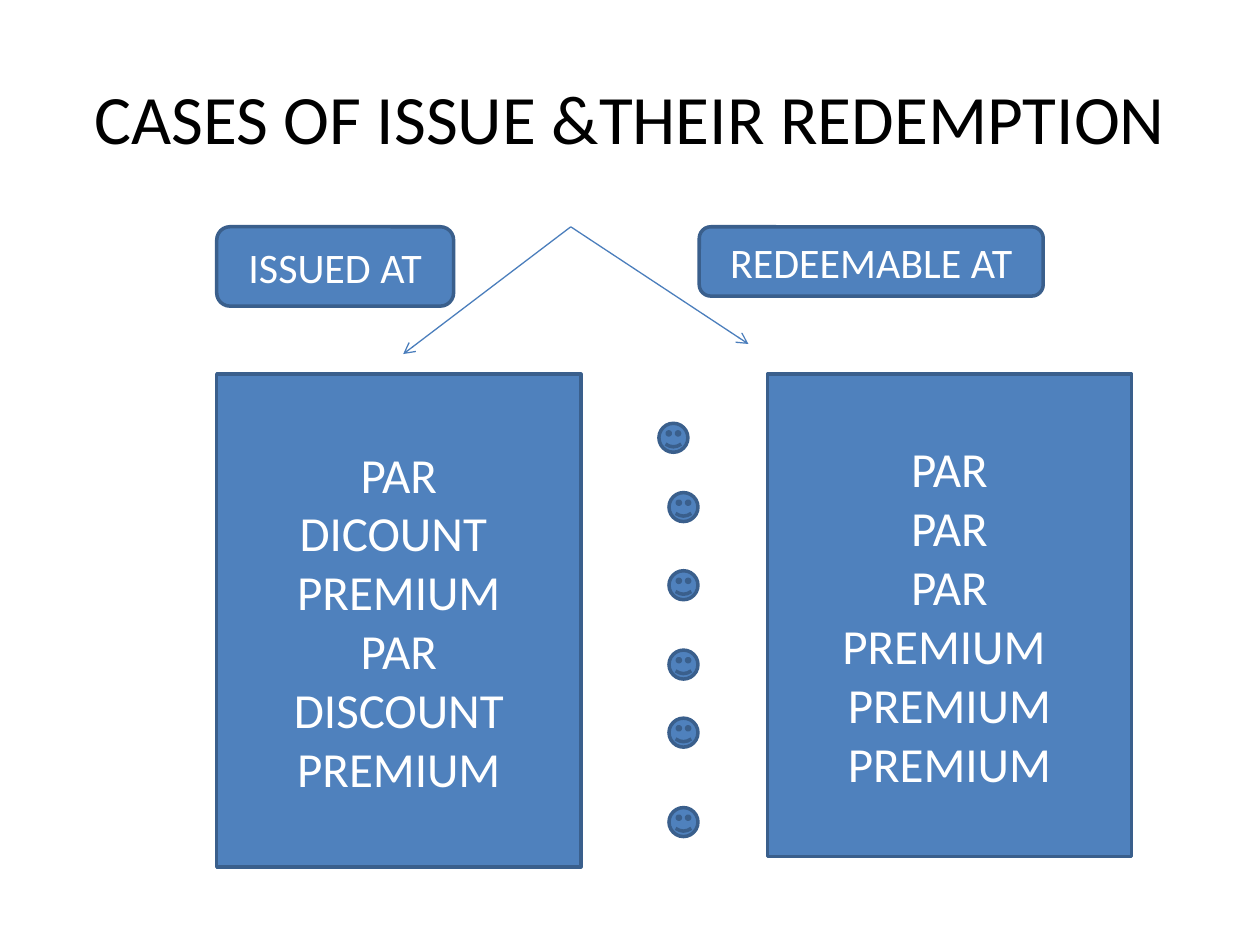
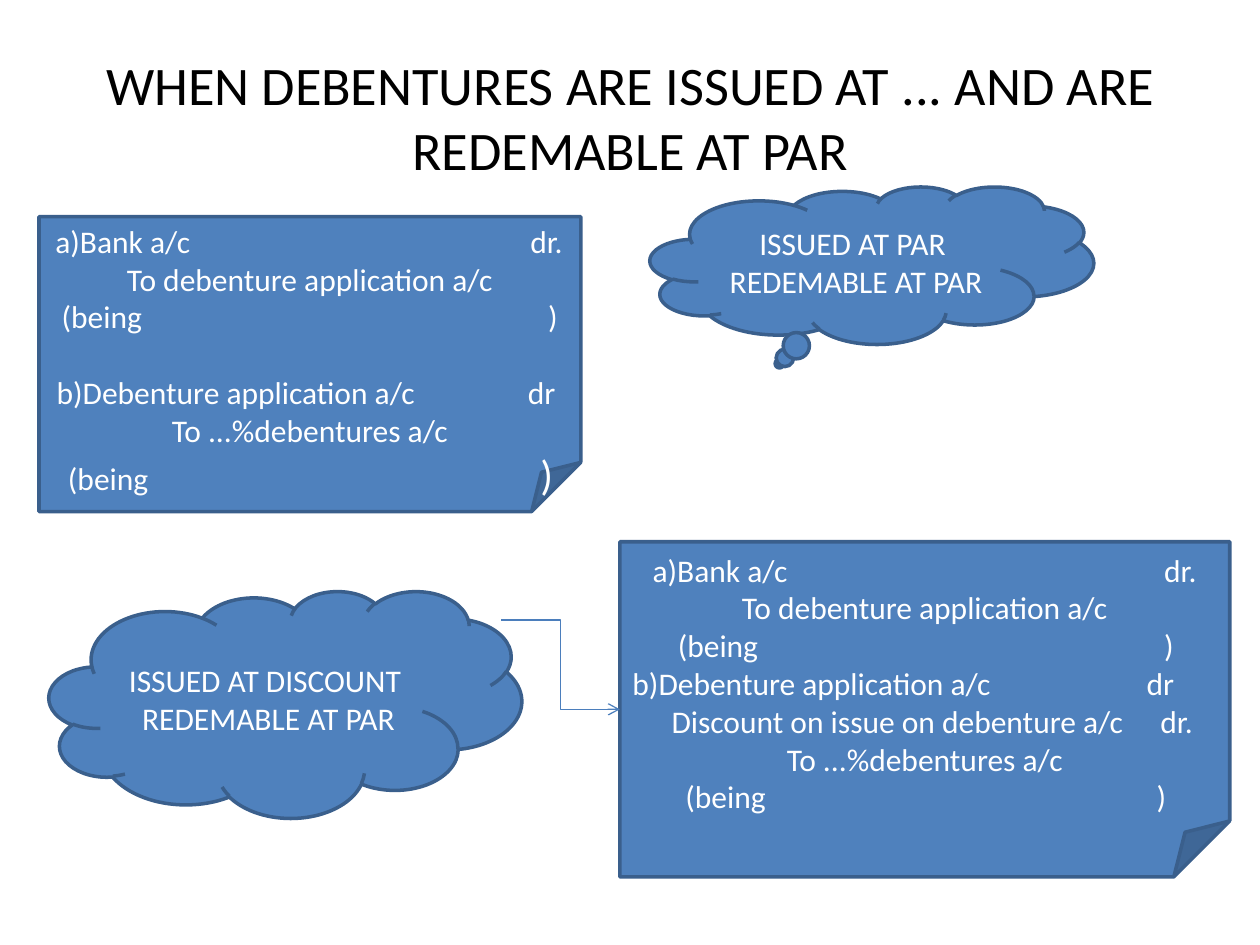
from lxml.etree import SubElement
from pptx import Presentation
from pptx.dml.color import RGBColor
from pptx.enum.shapes import MSO_CONNECTOR as Link, MSO_SHAPE as Shape
from pptx.enum.text import MSO_ANCHOR as Anchor, PP_ALIGN as Align
from pptx.oxml.ns import qn
from pptx.util import Inches, Pt

COLORS = {"fill": "4F81BD", "outline": "3A5F8C", "arrow": "4B7EBC",
          "title": "000000", "text": "FFFFFF"}
FONT = "Calibri"
TITLE_AREA = (0.5, 0.3, 9, 1.25)

CASES_TITLE = "CASES OF ISSUE &THEIR REDEMPTION"
# label, label area, cases, cases area
CASE_COLUMNS = [
    ("ISSUED AT", (1.72, 1.8, 1.88, 0.63),
     ["PAR", "DICOUNT ", "PREMIUM", "PAR", "DISCOUNT", "PREMIUM"],
     (1.72, 2.97, 2.89, 3.91)),
    ("REDEEMABLE AT", (5.55, 1.8, 2.73, 0.55),
     ["PAR", "PAR", "PAR", "PREMIUM ", "PREMIUM", "PREMIUM"],
     (6.09, 2.97, 2.89, 3.83)),
]
FORK = (4.53, 1.8)
FORK_ENDS = [(5.94, 2.73), (3.2, 2.81)]
FACE_SIZE = 0.23
FACES = [(5.23, 3.36)] + [(5.31, top) for top in (3.91, 4.53, 5.16, 5.7, 6.41)]

ENTRIES_TITLE = "WHEN DEBENTURES ARE ISSUED AT ... AND ARE REDEMABLE AT PAR"
CLOUDS = [
    (Shape.CLOUD_CALLOUT, (5.16, 1.48, 3.52, 1.25),
     ["ISSUED AT PAR ", "REDEMABLE AT PAR"]),
    (Shape.CLOUD, (0.39, 4.69, 3.75, 1.8),
     ["ISSUED AT DISCOUNT ", "REDEMABLE AT PAR"]),
]
# A plain string is a centred line; a tuple is (left stop, text, right stop, text).
PAR_NOTE = {
    "area": (0.31, 1.72, 4.3, 2.34), "top": 0.04, "gap_before": 3, "big_end": 5,
    "lines": [
        (0.13, "a)Bank a/c", 3.9, "dr."),
        "To debenture application a/c",
        (0.18, "(being", 4.04, ")"),
        (0.14, "b)Debenture application a/c", 3.88, "dr"),
        "To ...%debentures a/c",
        (0.23, "(being", 3.98, ")"),
    ],
}
DISCOUNT_NOTE = {
    "area": (4.92, 4.3, 4.84, 2.66), "top": 0.07, "gap_before": None, "big_end": None,
    "lines": [
        (0.26, "a)Bank a/c", 4.32, "dr."),
        "To debenture application a/c",
        (0.46, "(being", 4.32, ")"),
        (0.1, "b)Debenture application a/c", 4.18, "dr"),
        (0.41, "Discount on issue on debenture a/c", 4.29, "dr."),
        "To ...%debentures a/c",
        (0.52, "(being", 4.26, ")"),
    ],
}
ELBOW_START = (3.98, 4.92)


def rgb(name):
    return RGBColor.from_string(COLORS[name])


def inches(values):
    return [Inches(value) for value in values]


def style(para, size, color="text", align=Align.CENTER):
    para.alignment = align
    para.font.name = FONT
    para.font.size = Pt(size)
    para.font.color.rgb = rgb(color)


def write(box, lines, size, color="text"):
    frame = box.text_frame
    frame.word_wrap = True
    frame.vertical_anchor = Anchor.MIDDLE
    frame.text = "\n".join(lines)
    for para in frame.paragraphs:
        style(para, size, color)


def add_page(deck, title, size):
    page = deck.slides.add_slide(deck.slide_layouts[6])
    write(page.shapes.add_textbox(*inches(TITLE_AREA)), [title], size, "title")
    return page


def add_box(page, kind, area, lines=(), size=18):
    box = page.shapes.add_shape(kind, *inches(area))
    box.shadow.inherit = False
    box.fill.solid()
    box.fill.fore_color.rgb = rgb("fill")
    box.line.color.rgb = rgb("outline")
    box.line.width = Pt(2)
    if lines:
        write(box, lines, size)
    return box


def add_arrow(page, kind, start, end):
    arrow = page.shapes.add_connector(kind, *inches(start + end))
    arrow.line.color.rgb = rgb("arrow")
    arrow.line.width = Pt(0.75)
    SubElement(arrow.line._get_or_add_ln(), qn("a:tailEnd"), type="arrow")
    SubElement(arrow._element.spPr, qn("a:effectLst"))
    return arrow


def set_tabs(para, stops):
    """Add left tab stops, placed ahead of the paragraph's font settings."""
    properties = para._p.get_or_add_pPr()
    tabs = SubElement(properties, qn("a:tabLst"))
    for stop in stops:
        SubElement(tabs, qn("a:tab"), pos=str(Inches(stop)), algn="l")
    properties.find(qn("a:defRPr")).addprevious(tabs)


def add_note(page, note):
    """Draw a folded sheet of journal entries, aligned by tab stops."""
    box = add_box(page, Shape.FOLDED_CORNER, note["area"])
    frame = box.text_frame
    frame.word_wrap = True
    frame.vertical_anchor = Anchor.TOP
    frame.margin_left = frame.margin_right = frame.margin_bottom = 0
    frame.margin_top = Inches(note["top"])
    for index, line in enumerate(note["lines"]):
        para = frame.paragraphs[0] if index == 0 else frame.add_paragraph()
        if isinstance(line, str):
            para.text = line
            style(para, 18)
        else:
            left, entry, right, ending = line
            para.add_run().text = f"\t{entry}\t"
            span = para.add_run()
            span.text = ending
            style(para, 18, align=Align.LEFT)
            set_tabs(para, (left, right))
            if index == note["big_end"]:
                span.font.size = Pt(24)
        if index == note["gap_before"]:
            para.space_before = Pt(21.6)
    return box


def build_cases(deck):
    page = add_page(deck, CASES_TITLE, 39.6)
    for end in FORK_ENDS:
        add_arrow(page, Link.STRAIGHT, FORK, end)
    for label, label_area, cases, cases_area in CASE_COLUMNS:
        add_box(page, Shape.RECTANGLE, cases_area, cases, 28)
        add_box(page, Shape.ROUNDED_RECTANGLE, label_area, [label], 24)
    for corner in FACES:
        add_box(page, Shape.SMILEY_FACE, corner + (FACE_SIZE, FACE_SIZE))


def build_entries(deck):
    page = add_page(deck, ENTRIES_TITLE, 31)
    add_note(page, PAR_NOTE)
    discount_note = add_note(page, DISCOUNT_NOTE)
    for kind, area, lines in CLOUDS:
        add_box(page, kind, area, lines)
    left, top, _, height = DISCOUNT_NOTE["area"]
    elbow = add_arrow(page, Link.ELBOW, ELBOW_START, (left, top + height / 2))
    elbow.end_connect(discount_note, 1)


def main():
    deck = Presentation()
    deck.slide_width, deck.slide_height = inches((10, 7.5))
    build_cases(deck)
    build_entries(deck)
    deck.save("out.pptx")


if __name__ == "__main__":
    main()
